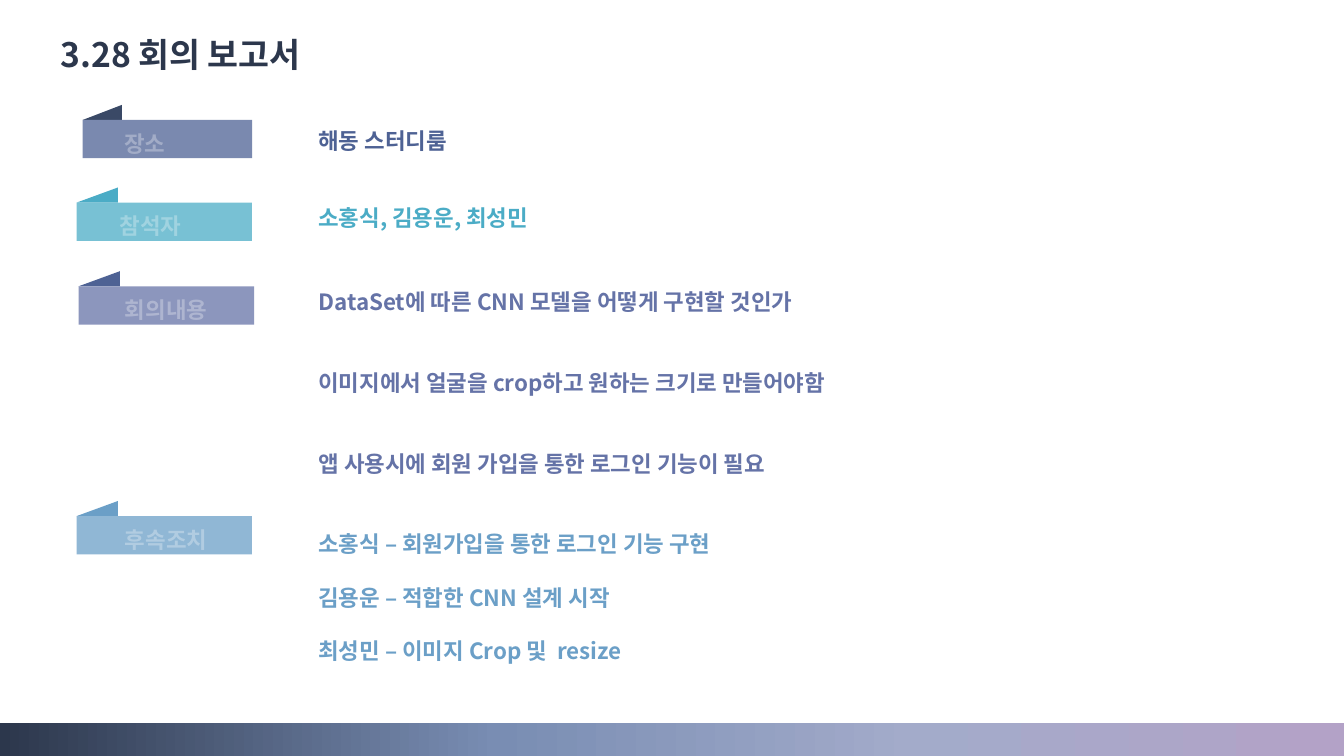
from pptx import Presentation
from pptx.dml.color import RGBColor
from pptx.enum.shapes import MSO_SHAPE
from pptx.enum.text import MSO_ANCHOR, PP_ALIGN
from pptx.oxml.ns import qn
from pptx.util import Inches, Pt
from lxml.etree import SubElement

FONT = "Noto Sans CJK KR"
WIDTH, HEIGHT = 13.33, 7.5
LINE = 1.2
TABS = [
    ("장소", (0.82, 1.04, 1.68, 0.53), 0.39, 0.41, "3A4966", "7A89AF"),
    ("참석자", (0.76, 1.86, 1.74, 0.53), 0.41, 0.43, "4BACC6", "78C1D4"),
    ("회의내용", (0.78, 2.69, 1.74, 0.53), 0.41, 0.46, "4E6294", "8C96BD"),
    ("후속조치", (0.76, 4.97, 1.74, 0.53), 0.41, 0.48, "6B9FC7", "90B7D5"),
]
ENTRIES = [
    (["해동 스터디룸"], (3.06, 1.21, 5.34, 0.37), "4E6294", 0),
    (["소홍식, 김용운, 최성민"], (3.06, 1.97, 5.34, 0.37), "4BACC6", 0),
    (["DataSet에 따른 CNN 모델을 어떻게 구현할 것인가",
      "이미지에서 얼굴을 crop하고 원하는 크기로 만들어야함",
      "앱 사용시에 회원 가입을 통한 로그인 기능이 필요"],
     (3.06, 2.8, 8.12, 1.99), "6573A7", 2),
    (["소홍식 – 회원가입을 통한 로그인 기능 구현",
      "김용운 – 적합한 CNN 설계 시작",
      "최성민 – 이미지 Crop 및  resize"],
     (3.06, 5.2, 5.34, 1.45), "6B9FC7", 1),
]


def color(value):
    """Turn a hex string into a colour."""
    return RGBColor.from_string(value)


def write(shape, lines, size, tint, gap=0, alpha=None):
    """Fill a shape with bold left-aligned lines, gap being empty lines between."""
    frame = shape.text_frame
    frame.word_wrap = True
    frame.vertical_anchor = MSO_ANCHOR.MIDDLE
    frame.text = "\n".join(lines)
    for index, para in enumerate(frame.paragraphs):
        para.alignment = PP_ALIGN.LEFT
        para.line_spacing = Pt(size * LINE)
        para.space_before = Pt(size * LINE * gap if index else 0)
        for span in para.runs:
            span.font.size = Pt(size)
            span.font.bold = True
            span.font.name = FONT
            span.font.color.rgb = color(tint)
            properties = span.font._element
            SubElement(properties, qn("a:ea")).set("typeface", FONT)
            if alpha:
                tone = properties.find(".//" + qn("a:srgbClr"))
                SubElement(tone, qn("a:alpha")).set("val", str(alpha * 1000))


def add_block(page, kind, box, tint):
    """Add a flat shape without outline."""
    shape = page.shapes.add_shape(kind, *map(Inches, box))
    shape.shadow.inherit = False
    shape.line.fill.background()
    shape.fill.solid()
    shape.fill.fore_color.rgb = color(tint)
    return shape


def add_title(page, box):
    """Place and format the title placeholder."""
    title = page.shapes.title
    title.left, title.top, title.width, title.height = map(Inches, box)
    write(title, ["3.28 회의 보고서"], 24, "2C374C")


def add_tab(page, label, box, fold_width, indent, dark, light):
    """Draw a folded ribbon tab with its label."""
    left, top, width, height = box
    fold_height = 0.15
    fold = add_block(page, MSO_SHAPE.RIGHT_TRIANGLE, (left, top, fold_width, fold_height), dark)
    fold._element.spPr.xfrm.set("flipH", "1")
    band = add_block(page, MSO_SHAPE.RECTANGLE,
                     (left, top + fold_height, width, height - fold_height), light)
    write(band, [label], 16, "FFFFFF", alpha=30)
    frame = band.text_frame
    frame.margin_left, frame.margin_right = Inches(indent), 0
    frame.margin_top, frame.margin_bottom = Inches(0.08), 0


def add_entry(page, lines, box, tint, gap):
    """Add the text that belongs to a tab."""
    write(page.shapes.add_textbox(*map(Inches, box)), lines, 16, tint, gap)


def add_footer(page, box):
    """Draw the gradient band along the bottom."""
    band = add_block(page, MSO_SHAPE.RECTANGLE, box, "2C374C")
    band.fill.gradient()
    band.fill.gradient_angle = 0
    stops = band._element.spPr.find(".//" + qn("a:gsLst"))
    for stop in list(stops):
        stops.remove(stop)
    for position, tint in [(0, "2C374C"), (37, "798DB3"), (68, "A3ABCA"), (100, "B3A2C7")]:
        stop = SubElement(stops, qn("a:gs"))
        stop.set("pos", str(position * 1000))
        SubElement(stop, qn("a:srgbClr")).set("val", tint)


def main():
    """Build the meeting report slide."""
    deck = Presentation()
    deck.slide_width, deck.slide_height = Inches(WIDTH), Inches(HEIGHT)
    page = deck.slides.add_slide(deck.slide_layouts[5])
    add_footer(page, (0, 7.17, WIDTH, 0.33))
    add_title(page, (0.5, 0.29, 7.9, 0.5))
    for tab in TABS:
        add_tab(page, *tab)
    for entry in ENTRIES:
        add_entry(page, *entry)
    deck.save("out.pptx")


if __name__ == "__main__":
    main()
